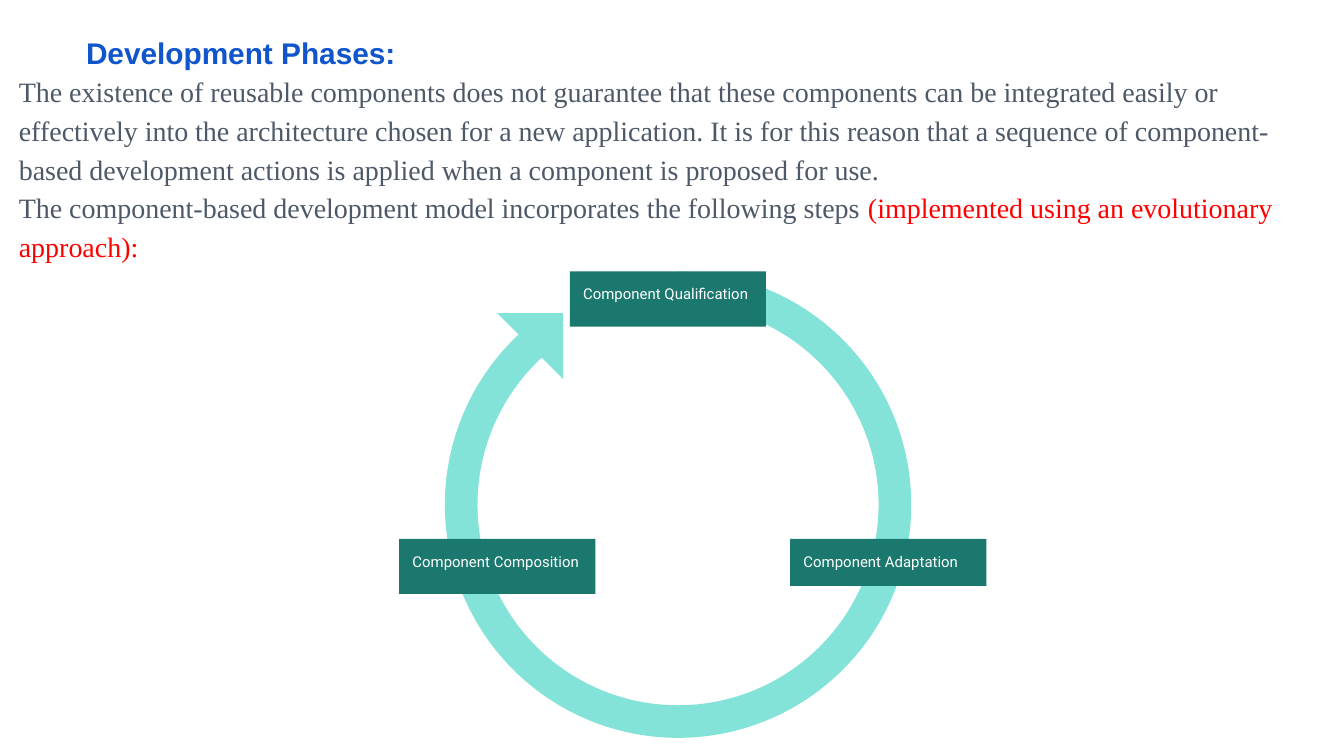
import pptx
import pptx.dml.color
import pptx.enum.shapes
import pptx.enum.text
import pptx.oxml
import pptx.util
from pptx.util import Inches

COLORS = {
    "heading": "1155CC",
    "body": "4D5968",
    "emphasis": "FF0000",
    "cycle": "83E3D9",
    "phase": "1B786E",
    "label": "FFFFFF",
}
MARGIN = Inches(0.1)


def rgb(name):
    return pptx.dml.color.RGBColor.from_string(COLORS[name])


def add_run(paragraph, text, size, font, color, bold=False):
    run = paragraph.add_run()
    run.text = text
    run.font.size = pptx.util.Pt(size)
    run.font.name = font
    run.font.bold = bold
    run.font.color.rgb = rgb(color)


def set_frame(frame, top=MARGIN, bottom=MARGIN):
    frame.word_wrap = True
    frame.auto_size = pptx.enum.text.MSO_AUTO_SIZE.NONE
    frame.vertical_anchor = pptx.enum.text.MSO_ANCHOR.TOP
    frame.margin_left = frame.margin_right = MARGIN
    frame.margin_top, frame.margin_bottom = top, bottom


def set_paragraph(paragraph, indent=0, spacing=1.0):
    paragraph.alignment = pptx.enum.text.PP_ALIGN.LEFT
    paragraph.line_spacing = spacing
    paragraph.space_before = paragraph.space_after = pptx.util.Pt(0)
    properties = paragraph._p.get_or_add_pPr()
    properties.set("marL", str(Inches(indent)))
    properties.set("indent", "0")
    properties.append(pptx.oxml.parse_xml(
        '<a:buNone xmlns:a="http://schemas.openxmlformats.org/drawingml/2006/main"/>'))


def place(shape, left, top, width, height):
    shape.left, shape.top = Inches(left), Inches(top)
    shape.width, shape.height = Inches(width), Inches(height)


def add_filled(shapes, kind, left, top, width, height, color):
    shape = shapes.add_shape(
        kind, Inches(left), Inches(top), Inches(width), Inches(height))
    shape.shadow.inherit = False
    shape.fill.solid()
    shape.fill.fore_color.rgb = rgb(color)
    shape.line.fill.background()
    return shape


def fill_heading(heading, text):
    place(heading, 0.04, 0.12, 9.92, 0.4)
    set_frame(heading.text_frame, bottom=0)
    paragraph = heading.text_frame.paragraphs[0]
    set_paragraph(paragraph, indent=0.5, spacing=1.15)
    add_run(paragraph, text, 16, "Arial", "heading", bold=True)


def fill_body(body, paragraphs):
    place(body, 0.04, 0.52, 9.92, 1.53)
    frame = body.text_frame
    set_frame(frame, top=0)
    for index, runs in enumerate(paragraphs):
        paragraph = frame.add_paragraph() if index else frame.paragraphs[0]
        set_paragraph(paragraph, spacing=1.15)
        for text, color in runs:
            add_run(paragraph, text, 15, "Times New Roman", color)


def add_cycle(slide):
    kinds = pptx.enum.shapes.MSO_SHAPE
    cycle = slide.shapes.add_group_shape()
    ring = add_filled(cycle.shapes, kinds.BLOCK_ARC, 3.31, 2.02, 3.47, 3.47, "cycle")
    for index, value in enumerate((54, 30.13, 0.07)):
        ring.adjustments[index] = value
    arrowhead = add_filled(
        cycle.shapes, kinds.RIGHT_TRIANGLE, 3.7, 2.33, 0.49, 0.49, "cycle")
    ring.rotation = arrowhead.rotation = 180


def add_phase(slide, text, left, top, height):
    phase = add_filled(slide.shapes, pptx.enum.shapes.MSO_SHAPE.RECTANGLE,
                       left, top, 1.46, height, "phase")
    set_frame(phase.text_frame)
    paragraph = phase.text_frame.paragraphs[0]
    set_paragraph(paragraph)
    add_run(paragraph, text, 8, "Roboto", "label")


def main():
    # Widescreen 16:9 slide
    deck = pptx.Presentation()
    deck.slide_width = Inches(10)
    deck.slide_height = Inches(10 * 9 / 16)
    slide = deck.slides.add_slide(deck.slide_layouts[1])

    # Heading and explanation
    fill_heading(slide.shapes.title, "Development Phases:")
    fill_body(slide.placeholders[1], [
        [("The existence of reusable components does not guarantee that these "
          "components can be integrated easily or effectively into the "
          "architecture chosen for a new application. It is for this reason "
          "that a sequence of component-based development actions is applied "
          "when a component is proposed for use.", "body")],
        [("The component-based development model incorporates the following "
          "steps ", "body"),
         ("(implemented using an evolutionary approach):", "emphasis")],
    ])

    # Cycle with its phases
    add_cycle(slide)
    for text, left, top, height in (
        ("Component Adaptation", 5.88, 4.01, 0.35),
        ("Component Qualification", 4.24, 2.02, 0.41),
        ("Component Composition", 2.97, 4.01, 0.41),
    ):
        add_phase(slide, text, left, top, height)

    deck.save("out.pptx")


if __name__ == "__main__":
    main()
